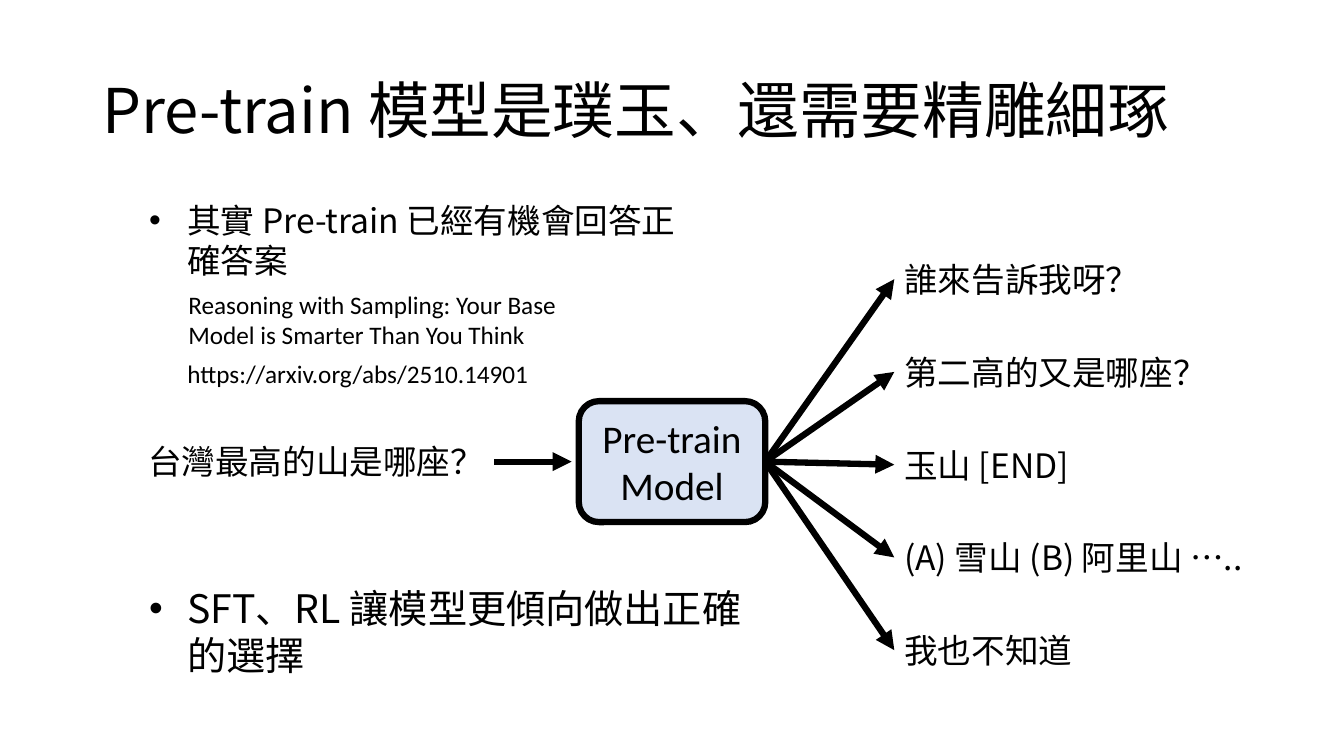
from dataclasses import dataclass

from lxml import etree
from pptx import Presentation
from pptx.dml.color import RGBColor
from pptx.enum.shapes import MSO_CONNECTOR, MSO_SHAPE
from pptx.enum.text import MSO_ANCHOR, PP_ALIGN
from pptx.oxml.ns import qn
from pptx.util import Inches, Pt

STRAIGHT = MSO_CONNECTOR.STRAIGHT
ROUNDED = MSO_SHAPE.ROUNDED_RECTANGLE
MIDDLE = MSO_ANCHOR.MIDDLE
LEFT, CENTER, RIGHT = PP_ALIGN.LEFT, PP_ALIGN.CENTER, PP_ALIGN.RIGHT
LEFT_SIDE, RIGHT_SIDE = 1, 3

TITLE = "Pre-train 模型是璞玉、還需要精雕細琢"
PAPER = "Reasoning with Sampling: Your Base Model is Smarter Than You Think"
LINK = "https://arxiv.org/abs/2510.14901"
PROMPT = "台灣最高的山是哪座？"
MODEL = ["Pre-train", "Model"]
ANSWERS = [
    "誰來告訴我呀？",
    "第二高的又是哪座？",
    "玉山 [END]",
    "(A) 雪山 (B) 阿里山 …..",
    "我也不知道",
]
POINT_ANSWERABLE = "其實 Pre-train 已經有機會回答正確答案"
POINT_TUNING = "SFT、RL 讓模型更傾向做出正確的選擇"


@dataclass(frozen=True)
class Theme:
    ink: RGBColor = RGBColor(0, 0, 0)
    model_fill: RGBColor = RGBColor(0xDA, 0xE3, 0xF3)
    latin: str = "Calibri"
    chinese: str = "Noto Sans CJK SC"
    title: int = 44
    large: int = 28
    body: int = 24
    small: int = 18
    line: float = 4.5


THEME = Theme()
ROW_HEIGHT = 0.5
ANSWER_LEFT, ANSWER_TOP, ANSWER_PITCH = 8.87, 2.52, 0.92
PROMPT_TOP, ARROW_END = 4.33, 5.67
BULLET_INDENT = 0.38

deck = Presentation()
deck.slide_width, deck.slide_height = Inches(13.33), Inches(7.5)
page = deck.slides.add_slide(deck.slide_layouts[6])


def write(box, lines, size, font, align=LEFT, bullet=False):
    frame = box.text_frame
    frame.word_wrap = True
    frame.text = "\n".join(lines)
    for para in frame.paragraphs:
        para.alignment = align
        if bullet:
            props = para._p.get_or_add_pPr()
            props.set("marL", str(Inches(BULLET_INDENT)))
            props.set("indent", str(-Inches(BULLET_INDENT)))
            etree.SubElement(props, qn("a:buFont"), typeface="Arial")
            etree.SubElement(props, qn("a:buChar"), char="•")
        para.font.size = Pt(size)
        para.font.color.rgb = THEME.ink
        para.font.name = font
        etree.SubElement(para.font._element, qn("a:ea"), typeface=font)


def add_text(bounds, text, size, font=THEME.chinese, **style):
    box = page.shapes.add_textbox(*map(Inches, bounds))
    write(box, [text], size, font, **style)
    return box


def add_arrow(source, target=None, end=(0, 0)):
    arrow = page.shapes.add_connector(STRAIGHT, 0, 0, *map(Inches, end))
    arrow.begin_connect(source, RIGHT_SIDE)
    if target is not None:
        arrow.end_connect(target, LEFT_SIDE)
    arrow.line.color.rgb = THEME.ink
    arrow.line.width = Pt(THEME.line)
    etree.SubElement(arrow.line._get_or_add_ln(), qn("a:tailEnd"), type="triangle")
    etree.SubElement(arrow._element.spPr, qn("a:effectLst"))


title = add_text((0.92, 0.4, 11.5, 1.45), TITLE, THEME.title)
title.text_frame.vertical_anchor = MIDDLE
title.text_frame.paragraphs[0].line_spacing = 0.9

add_text((1.38, 1.93, 5.52, 0.91), POINT_ANSWERABLE, THEME.body, bullet=True)
add_text((1.77, 2.82, 4.33, 0.71), PAPER, THEME.small, THEME.latin)
add_text((1.76, 3.51, 3.96, 0.4), LINK, THEME.small, THEME.latin)
add_text((1.38, 5.75, 6.22, 1.04), POINT_TUNING, THEME.large, bullet=True)

model = page.shapes.add_shape(ROUNDED, *map(Inches, (5.74, 3.98, 1.85, 1.2)))
model.shadow.inherit = False
model.fill.solid()
model.fill.fore_color.rgb = THEME.model_fill
model.line.color.rgb = THEME.ink
model.line.width = Pt(THEME.line)
model.text_frame.vertical_anchor = MIDDLE
write(model, MODEL, THEME.large, THEME.latin, align=CENTER)

prompt = add_text((1.34, PROMPT_TOP, 3.56, ROW_HEIGHT), PROMPT, THEME.body, align=RIGHT)
add_arrow(prompt, end=(ARROW_END, PROMPT_TOP + ROW_HEIGHT / 2))

for row, text in enumerate(ANSWERS):
    top = ANSWER_TOP + row * ANSWER_PITCH
    answer = add_text((ANSWER_LEFT, top, 4.33, ROW_HEIGHT), text, THEME.body)
    add_arrow(model, answer)

deck.save("out.pptx")
